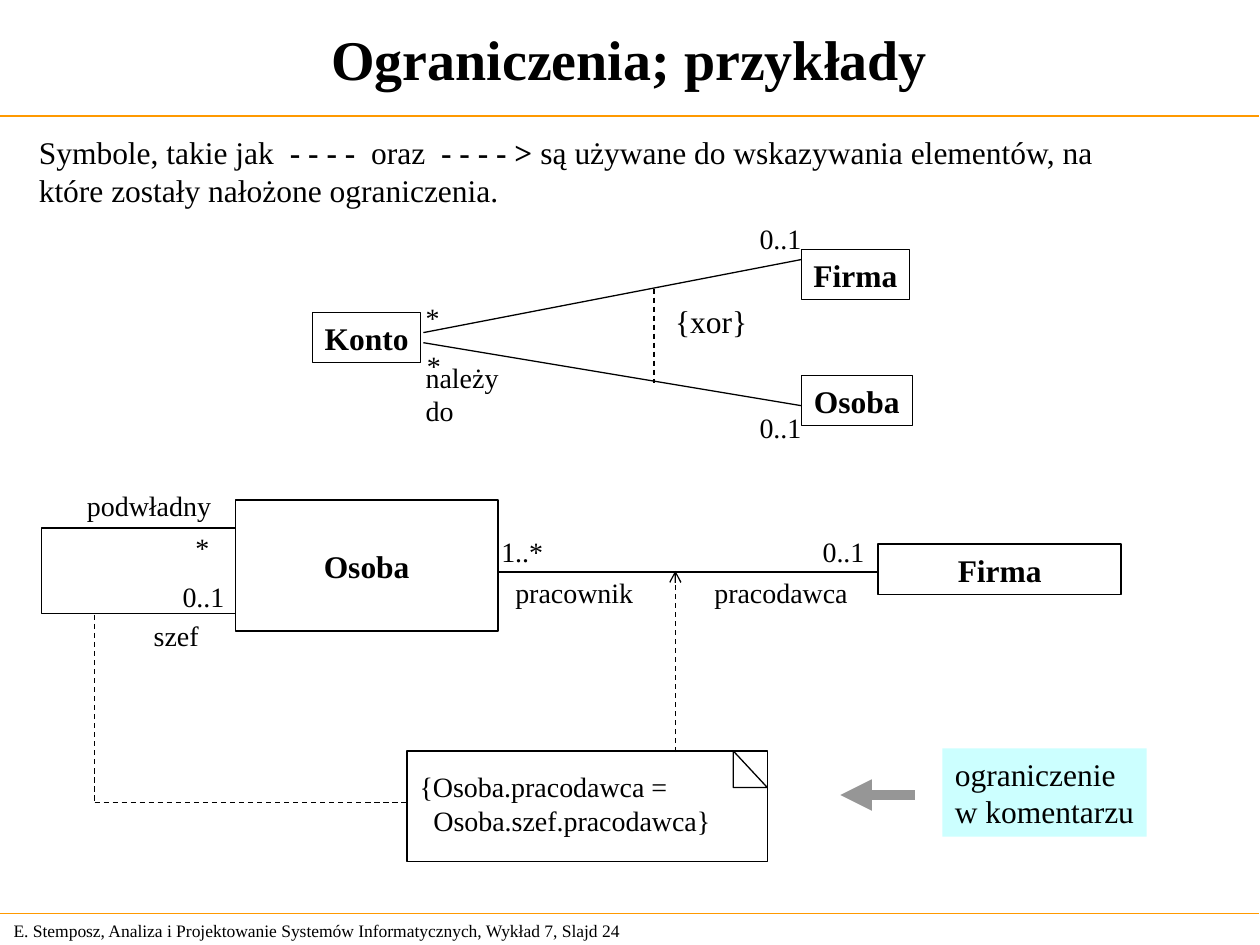
from dataclasses import dataclass

from lxml.etree import SubElement
from pptx import Presentation
from pptx.dml.color import RGBColor
from pptx.enum.dml import MSO_LINE
from pptx.enum.shapes import MSO_CONNECTOR, MSO_SHAPE
from pptx.enum.text import MSO_ANCHOR as Anchor, PP_ALIGN as Align
from pptx.oxml.ns import qn
from pptx.util import Inches, Pt

COLUMNS, ROWS = 100, 75


@dataclass(frozen=True)
class Theme:
    font: str = "Times New Roman"
    ink: str = "000000"
    rule: str = "FF9900"
    pointer: str = "969696"
    callout: str = "CCFFFF"
    title: int = 32
    body: int = 18
    label: int = 16
    footer: int = 10
    thin: float = 0.75
    medium: float = 1
    thick: float = 6


class Slide:
    """Draws on one page; every place is (column, row[, columns, rows])."""

    def __init__(self, deck, theme):
        self.theme = theme
        self.page = deck.slides.add_slide(deck.slide_layouts[5])
        self.column = deck.slide_width / COLUMNS
        self.row = deck.slide_height / ROWS

    def place(self, *cells):
        units = (self.column, self.row) * 2
        return [round(cell * unit) for cell, unit in zip(cells, units)]

    def set_text(self, box, text, size, bold=False, align=Align.LEFT,
                 anchor=Anchor.TOP, padded=True, wrap=False):
        """Fill a box with text; | switches between plain and bold."""
        frame = box.text_frame
        frame.word_wrap = wrap
        frame.vertical_anchor = anchor
        frame.margin_left = frame.margin_right = Inches(0.1 * padded)
        frame.margin_top = frame.margin_bottom = Inches(0.05 * padded)
        for index, line in enumerate(text.split("\n")):
            para = frame.add_paragraph() if index else frame.paragraphs[0]
            para.alignment = align
            for part, words in enumerate(line.split("|")):
                span = para.add_run()
                span.text = words
                font = span.font
                font.name, font.size = self.theme.font, Pt(size)
                font.bold = bold or part % 2 == 1
                font.color.rgb = RGBColor.from_string(self.theme.ink)
        return box

    def title(self, text, place):
        box = self.page.shapes.title
        box.left, box.top, box.width, box.height = self.place(*place)
        self.set_text(box, text, self.theme.title, bold=True, align=Align.CENTER,
                      anchor=Anchor.MIDDLE, wrap=True)

    def text(self, text, place, size=None, **style):
        box = self.page.shapes.add_textbox(*self.place(*place))
        return self.set_text(box, text, size or self.theme.label, **style)

    def shape(self, place, kind=MSO_SHAPE.RECTANGLE, width=None, fill=None):
        """Add an outlined shape, or a filled one without outline."""
        shape = self.page.shapes.add_shape(kind, *self.place(*place))
        shape.shadow.inherit = False
        if fill:
            shape.fill.solid()
            shape.fill.fore_color.rgb = RGBColor.from_string(fill)
            shape.line.fill.background()
        else:
            shape.fill.background()
            shape.line.color.rgb = RGBColor.from_string(self.theme.ink)
            shape.line.width = Pt(width or self.theme.thin)
        return shape

    def class_box(self, name, place, width=None):
        self.set_text(self.shape(place, width=width), name, self.theme.body,
                      bold=True, align=Align.CENTER, anchor=Anchor.MIDDLE)

    def line(self, start, end, color=None, width=None, dashed=False, arrow=None):
        connector = self.page.shapes.add_connector(
            MSO_CONNECTOR.STRAIGHT, *self.place(*start, *end))
        line = connector.line
        line.color.rgb = RGBColor.from_string(color or self.theme.ink)
        line.width = Pt(width or self.theme.thin)
        if dashed:
            line.dash_style = MSO_LINE.DASH
        properties = connector.element.spPr
        if arrow:
            SubElement(properties.find(qn("a:ln")), qn("a:tailEnd"), type=arrow)
        SubElement(properties, qn("a:effectLst"))

    def note(self, text, place, fold):
        """Add a comment sheet with a folded top right corner."""
        left, top, width, height = place
        fold_width, fold_height = fold
        sheet = self.shape(place)
        words = self.text(text, (left + 1, top + 1.5, 23.1, 5.3), padded=False)
        continuation = words.text_frame.paragraphs[1]
        continuation._p.get_or_add_pPr().set("marL", str(Inches(0.11)))
        corner = self.shape((left + width - fold_width, top, fold_width, fold_height),
                            MSO_SHAPE.RIGHT_TRIANGLE)
        self.page.shapes.add_group_shape([sheet, words, corner])


def draw_frame(slide):
    theme = slide.theme
    slide.title("Ograniczenia; przykłady", (0, 0, 99.9, 9.2))
    for row in (9.2, 72.5):
        slide.line((0, row), (99.9, row), color=theme.rule)
    slide.text("E. Stemposz, Analiza i Projektowanie Systemów Informatycznych, "
               "Wykład 7, Slajd 24", (0.1, 72.5, 52.4, 2.7), theme.footer,
               anchor=Anchor.MIDDLE)
    slide.text("Symbole, takie jak  |- - - -|  oraz  |- - - - >| są używane do "
               "wskazywania elementów, na \n"
               "które zostały nałożone ograniczenia.",
               (2.1, 10.1, 86.4, 7), theme.body, align=Align.JUSTIFY)


def draw_xor_example(slide):
    for name, place in (("Konto", (24.8, 24.8, 8.6, 4)),
                        ("Firma", (63.6, 19.8, 8.6, 4)),
                        ("Osoba", (63.6, 29.8, 8.8, 4))):
        slide.class_box(name, place)
    slide.line((33.6, 26.4), (63.6, 20.6))
    slide.line((33.6, 27.2), (63.6, 32.2))
    slide.line((51.9, 22.9), (51.9, 30.4), dashed=True)
    slide.text("{xor}", (52.6, 23.5, 7.7, 4), slide.theme.body)
    slide.text("należy do", (32.8, 28.1, 10.5, 3.7))
    for row in (17.1, 32.1):
        slide.text("0..1", (59.3, row, 5.3, 3.7))
    for column, row in ((32.8, 23.4), (32.9, 27.2)):
        slide.text("*", (column, row, 3.1, 3.7))


def draw_comment_example(slide):
    theme = slide.theme
    slide.shape((3.3, 41.9, 15.4, 6.8))
    slide.class_box("Osoba", (18.7, 39.7, 20.8, 10.4), theme.medium)
    slide.class_box("Firma", (69.7, 43.2, 19.3, 4), theme.medium)
    slide.line((39.5, 45.4), (69.7, 45.4), width=theme.medium)
    for count, column, row, width in (("0..1", 64.3, 41.9, 5.3),
                                      ("1..*", 38.8, 41.9, 5.3),
                                      ("0..1", 13.5, 45.5, 5.3),
                                      ("*", 14.5, 41.6, 3.1)):
        slide.text(count, (column, row, width, 3.7), align=Align.CENTER)
    for role, column, row, width in (("pracownik", 40.9, 45.7, 9.4),
                                     ("pracodawca", 56.7, 45.7, 10.6),
                                     ("podwładny", 6.9, 38.8, 9.9),
                                     ("szef", 12.2, 49.1, 3.6)):
        slide.text(role, (column, row, width, 2.7), padded=False)
    slide.line((7.5, 48.8), (7.5, 63.7), dashed=True)
    slide.line((7.5, 63.7), (32.3, 63.7), dashed=True)
    slide.line((53.6, 59.7), (53.6, 45.3), dashed=True, arrow="arrow")
    slide.note("{Osoba.pracodawca =\nOsoba.szef.pracodawca}",
               (32.3, 59.6, 28.6, 8.8), fold=(2.7, 2.9))
    callout = slide.shape((74.8, 59.4, 16.2, 7), fill=theme.callout)
    slide.set_text(callout, "ograniczenie\nw komentarzu", theme.body)
    slide.line((72.6, 63.1), (66.7, 63.1), color=theme.pointer,
               width=theme.thick, arrow="triangle")


def main():
    deck = Presentation()
    deck.slide_width, deck.slide_height = Inches(10), Inches(7.5)
    slide = Slide(deck, Theme())
    draw_frame(slide)
    draw_xor_example(slide)
    draw_comment_example(slide)
    deck.save("out.pptx")


if __name__ == "__main__":
    main()
